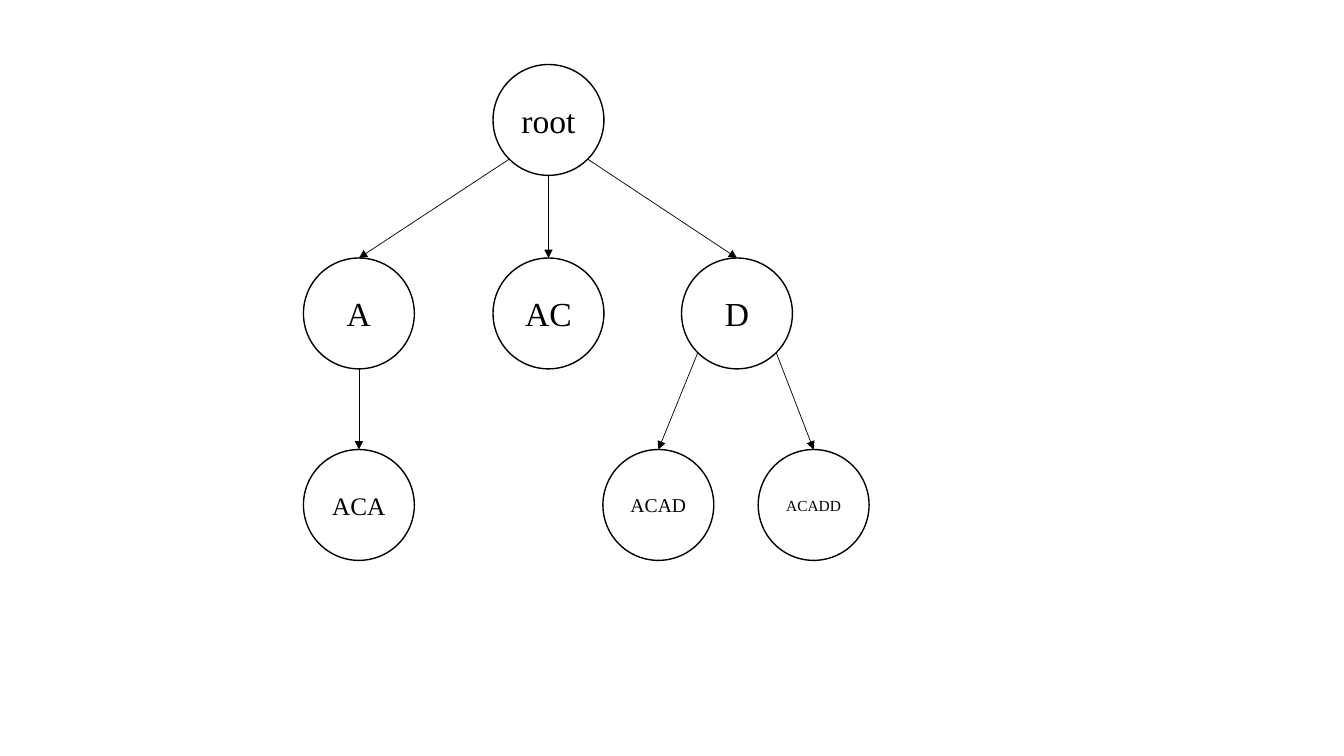
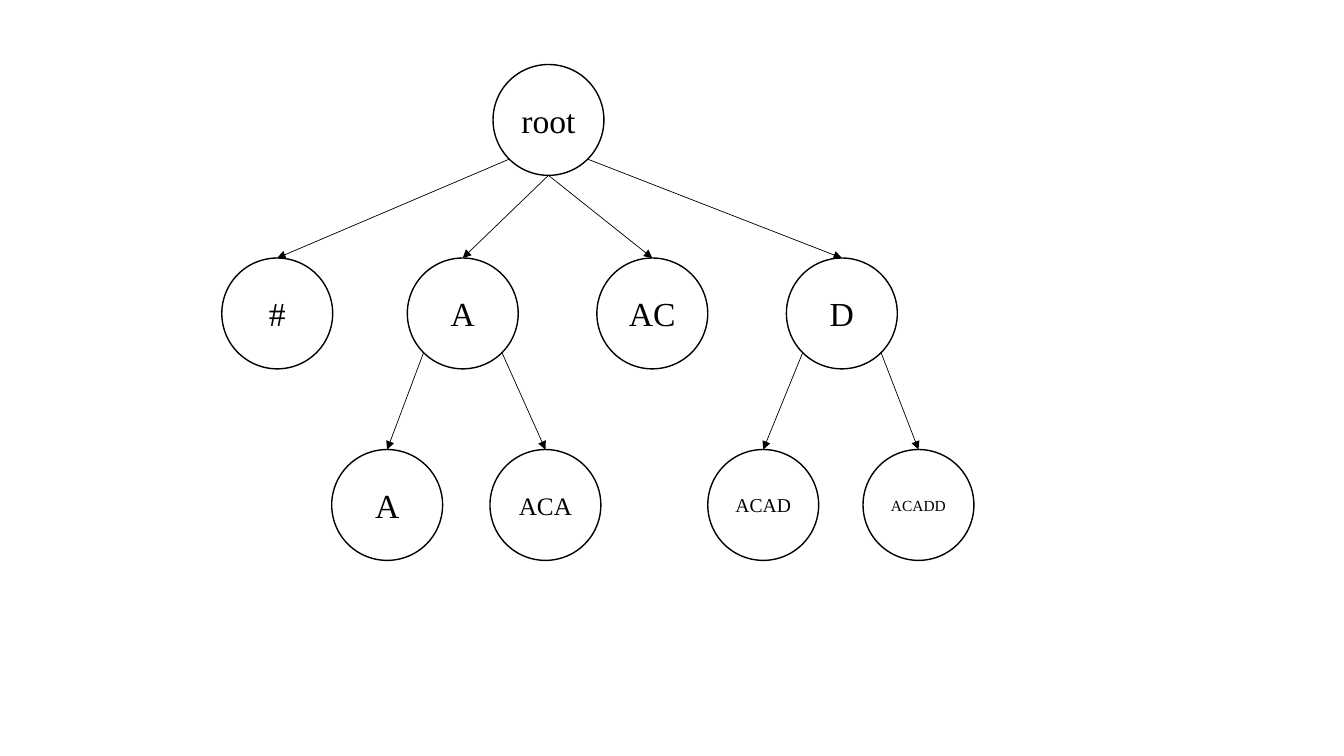
"""Build two slides of prefix trees with circular nodes and arrows."""
import math

from pptx import Presentation
from pptx import util as u
from pptx.dml.color import RGBColor
from pptx.enum import shapes, text
from pptx.oxml.ns import qn
from lxml import etree

INK = "000000"
FONT = "Times New Roman"
DIAMETER = 1.1
LEVEL_TOPS = [0.64, 2.56, 4.46]
LABEL_SIZES = {"ACA": 18, "ACAD": 14, "ACADD": 11}
DEFAULT_SIZE = 24
BOTTOM_LEFT, BOTTOM, BOTTOM_RIGHT = 3, 4, 5

TREES = [
    ("root", 4.89, [
        ("A", 3.01, [("ACA", 3.01, [])]),
        ("AC", 4.89, []),
        ("D", 6.76, [("ACAD", 5.98, []), ("ACADD", 7.52, [])]),
    ]),
    ("root", 4.89, [
        ("#", 2.2, []),
        ("A", 4.04, [("A", 3.29, []), ("ACA", 4.86, [])]),
        ("AC", 5.92, []),
        ("D", 7.8, [("ACAD", 7.02, []), ("ACADD", 8.56, [])]),
    ]),
]


def color(value):
    return RGBColor.from_string(value)


def add_node(slide, label, left, level):
    node = slide.shapes.add_shape(
        shapes.MSO_SHAPE.OVAL, u.Inches(left), u.Inches(LEVEL_TOPS[level]),
        u.Inches(DIAMETER), u.Inches(DIAMETER))
    node.shadow.inherit = False
    node.fill.background()
    node.line.color.rgb = color(INK)
    node.line.width = u.Pt(1)
    node.text_frame.vertical_anchor = text.MSO_ANCHOR.MIDDLE
    paragraph = node.text_frame.paragraphs[0]
    paragraph.alignment = text.PP_ALIGN.CENTER
    run = paragraph.add_run()
    run.text = label
    run.font.name = FONT
    run.font.size = u.Pt(LABEL_SIZES.get(label, DEFAULT_SIZE))
    run.font.color.rgb = color(INK)
    return node


def add_arrow(slide, parent, child, site):
    arrow = slide.shapes.add_connector(shapes.MSO_CONNECTOR.STRAIGHT, 0, 0, 0, 0)
    arrow.begin_connect(parent, 0)
    arrow.end_connect(child, 0)
    arrow._element.find(".//" + qn("a:stCxn")).set("idx", str(site))
    angle = math.radians(90 + 45 * (BOTTOM - site))
    radius = parent.width / 2
    arrow.begin_x = round(parent.left + radius + radius * math.cos(angle))
    arrow.begin_y = round(parent.top + radius + radius * math.sin(angle))
    arrow.line.color.rgb = color(INK)
    arrow.line.width = u.Pt(0.5)
    etree.SubElement(arrow.line._get_or_add_ln(), qn("a:tailEnd"), type="triangle")
    etree.SubElement(arrow._element.spPr, qn("a:effectLst"))


def departure_site(index, count):
    if count == 1:
        return BOTTOM
    return {0: BOTTOM_LEFT, count - 1: BOTTOM_RIGHT}.get(index, BOTTOM)


def add_tree(slide, tree, level=0):
    label, left, branches = tree
    node = add_node(slide, label, left, level)
    for index, branch in enumerate(branches):
        child = add_tree(slide, branch, level + 1)
        add_arrow(slide, node, child, departure_site(index, len(branches)))
    return node


deck = Presentation()
deck.slide_width = u.Inches(13.33)
deck.slide_height = u.Inches(7.5)
for tree in TREES:
    add_tree(deck.slides.add_slide(deck.slide_layouts[6]), tree)
deck.save("out.pptx")
